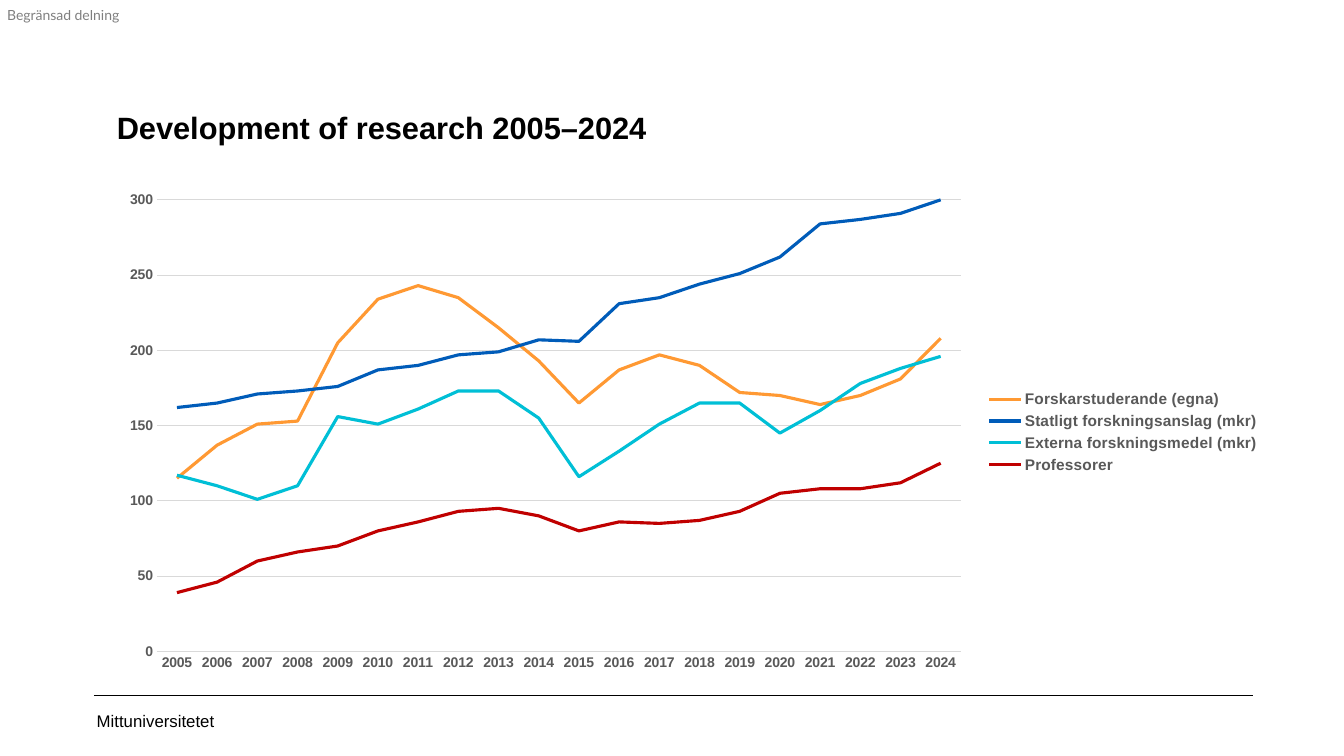
"""Build a slide with a line chart of research from 2005 to 2024."""
from dataclasses import dataclass

from lxml.etree import SubElement as Sub
from pptx import Presentation
from pptx.chart.data import CategoryChartData as Data
from pptx.dml.color import RGBColor as Rgb
from pptx.enum.chart import XL_CHART_TYPE as Kind, XL_LEGEND_POSITION as Side
from pptx.enum.chart import XL_MARKER_STYLE as Mark, XL_TICK_MARK as Tick
from pptx.enum.shapes import MSO_CONNECTOR as Link
from pptx.enum.text import MSO_ANCHOR as Anchor
from pptx.oxml import parse_xml
from pptx.oxml.ns import nsdecls, qn
from pptx.util import Inches, Pt


@dataclass(frozen=True)
class Theme:
    """Hold the colours, fonts and type sizes."""
    ink: str = "000000"
    gray: str = "595959"
    grid: str = "D9D9D9"
    font: str = "Arial"
    tag_font: str = "Lato"
    title: int = 22
    foot: int = 12
    key: int = 11
    small: int = 10
    rule: float = 0.25
    hair: float = 0.75
    curve: float = 2.25


LOOK = Theme()
WIDE, HIGH = Inches(13.33), Inches(7.5)
YEARS = range(2005, 2025)
ROWS = [
    ("Forskarstuderande (egna)", "FF9933",
     (115, 137, 151, 153, 205, 234, 243, 235, 215, 193,
      165, 187, 197, 190, 172, 170, 164, 170, 181, 208)),
    ("Statligt forskningsanslag (mkr)", "005CB9",
     (162, 165, 171, 173, 176, 187, 190, 197, 199, 207,
      206, 231, 235, 244, 251, 262, 284, 287, 291, 300)),
    ("Externa forskningsmedel (mkr)", "00BFD6",
     (117, 110, 101, 110, 156, 151, 161, 173, 173, 155,
      116, 133, 151, 165, 165, 145, 160, 178, 188, 196)),
    ("Professorer", "C00000",
     (39, 46, 60, 66, 70, 80, 86, 93, 95, 90,
      80, 86, 85, 87, 93, 105, 108, 108, 112, 125)),
]


def area(left, top, wide, high):
    """Turn percentages of the slide into lengths."""
    return (int(WIDE * left / 100), int(HIGH * top / 100),
            int(WIDE * wide / 100), int(HIGH * high / 100))


def style(font, size, color, bold=False, name=LOOK.font):
    """Set the look of a font."""
    font.name, font.size, font.bold = name, Pt(size), bold
    font.color.rgb = Rgb.from_string(color)


def stroke(line, color, width):
    """Set the colour and width of a line."""
    line.color.rgb, line.width = Rgb.from_string(color), Pt(width)


def label(slide, place, text, size, pads=(0.1, 0.05, 0.1, 0.05),
          anchor=Anchor.TOP, lead=None, **kind):
    """Add a text box with one run and return the run."""
    frame = slide.shapes.add_textbox(*area(*place)).text_frame
    frame.word_wrap, frame.vertical_anchor = True, anchor
    (frame.margin_left, frame.margin_top,
     frame.margin_right, frame.margin_bottom) = map(Inches, pads)
    para = frame.paragraphs[0]
    if lead:
        para.line_spacing = Pt(lead)
    run = para.add_run()
    run.text = text
    style(run.font, size, LOOK.ink, **kind)
    return run


def fade(run, share):
    """Make the colour of a run partly transparent."""
    color = next(run.font._element.iter(qn("a:srgbClr")))
    Sub(color, qn("a:alpha"), val=str(share * 1000))


def rule(slide, left, right, top):
    """Add a level line without a shadow."""
    x, y, end, _ = area(left, top, right, 0)
    line = slide.shapes.add_connector(Link.STRAIGHT, x, y, end, y)
    stroke(line.line, LOOK.ink, LOOK.rule)
    Sub(line._element.spPr, qn("a:effectLst"))


def frame_plot(chart, x, y, w, h):
    """Fix the inner plot area as shares of the chart."""
    plot = chart._chartSpace.chart.plotArea
    for old in plot.findall(qn("c:layout")):
        plot.remove(old)
    parts = "".join(f'<c:{tag} val="{val}"/>' for tag, val in (
        ("layoutTarget", "inner"), ("xMode", "edge"), ("yMode", "edge"),
        ("x", x), ("y", y), ("w", w), ("h", h)))
    plot.insert(0, parse_xml(
        f'<c:layout {nsdecls("c")}><c:manualLayout>{parts}'
        '</c:manualLayout></c:layout>'))


def trend(slide, place):
    """Add the line chart with its axes and legend."""
    data = Data()
    data.categories = [str(year) for year in YEARS]
    for name, _, vals in ROWS:
        data.add_series(name, vals)
    chart = slide.shapes.add_chart(Kind.LINE, *area(*place), data).chart
    style(chart.font, LOOK.small, LOOK.ink)
    chart.has_title = False
    chart.has_legend = True
    chart.legend.position = Side.RIGHT
    chart.legend.include_in_layout = False
    style(chart.legend.font, LOOK.key, LOOK.gray, True)
    chart.plots[0].vary_by_categories = False
    for row, (_, color, _) in zip(chart.plots[0].series, ROWS):
        row.smooth = False
        row.marker.style = Mark.NONE
        stroke(row.format.line, color, LOOK.curve)
    cat, val = chart.category_axis, chart.value_axis
    for axis in (cat, val):
        axis.major_tick_mark = axis.minor_tick_mark = Tick.NONE
        style(axis.tick_labels.font, LOOK.small, LOOK.gray, True)
    stroke(cat.format.line, LOOK.grid, LOOK.hair)
    val.minimum_scale, val.maximum_scale, val.major_unit = 0, 300, 50
    val.format.line.fill.background()
    stroke(val.major_gridlines.format.line, LOOK.grid, LOOK.hair)
    frame_plot(chart, 0.043, 0.035, 0.691, 0.905)


def main():
    """Build the slide and save it."""
    deck = Presentation()
    deck.slide_width, deck.slide_height = WIDE, HIGH
    slide = deck.slides.add_slide(deck.slide_layouts[6])
    label(slide, (6.9, 92.67, 22.5, 5.33), "Mittuniversitetet", LOOK.foot,
          pads=(0.04, 0.05, 0.1, 0.05), anchor=Anchor.MIDDLE)
    rule(slide, 6.98, 93.25, 92)
    fade(label(slide, (0.53, 0.93, 8.55, 2.27), "Begränsad delning",
               LOOK.small, pads=(0, 0, 0, 0), name=LOOK.tag_font), 50)
    label(slide, (7.95, 12, 86.57, 9.47), "Development of research 2005–2024",
          LOOK.title, lead=36, bold=True)
    trend(slide, (7.95, 24.13, 86.57, 66))
    deck.save("out.pptx")


if __name__ == "__main__":
    main()
